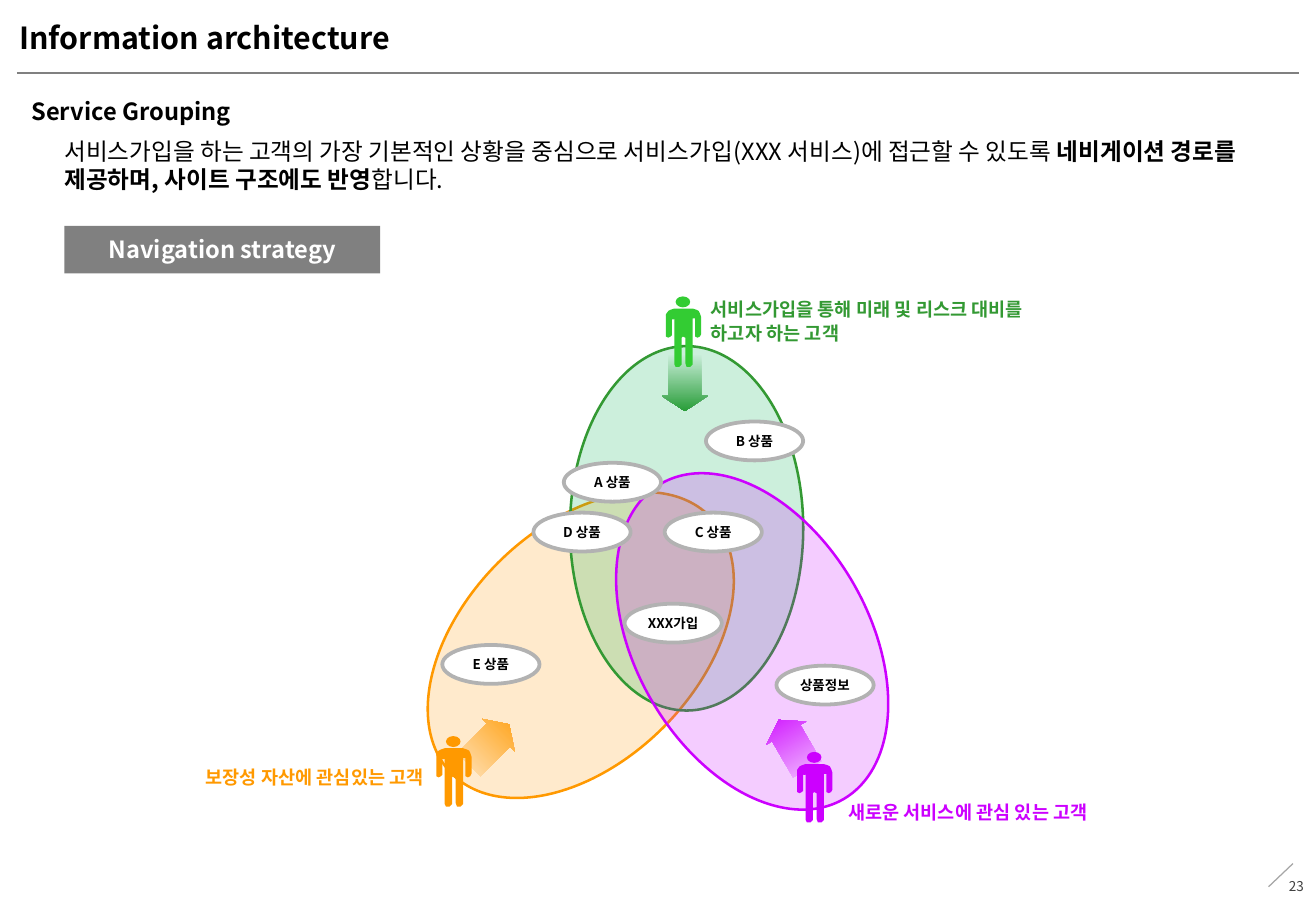
from lxml import etree
from pptx import Presentation
from pptx.dml.color import RGBColor
from pptx.enum import shapes as es, text as et
from pptx.oxml.ns import qn
from pptx.util import Inches, Pt

FONT = "Noto Sans CJK KR"
BLACK, WHITE = RGBColor(0, 0, 0), RGBColor(255, 255, 255)
GRAY, SILVER = RGBColor(0x80, 0x80, 0x80), RGBColor(0xB2, 0xB2, 0xB2)
PALE, DARK = RGBColor(0xA6, 0xA6, 0xA6), RGBColor(0x40, 0x40, 0x40)
GREEN, LIME = RGBColor(0x33, 0x99, 0x33), RGBColor(0x33, 0xCC, 0x33)
MINT = RGBColor(0, 0xB0, 0x50)
ORANGE, PURPLE = RGBColor(0xFF, 0x99, 0), RGBColor(0xCC, 0, 0xFF)
LEFT, MID, RIGHT = et.PP_ALIGN.LEFT, et.PP_ALIGN.CENTER, et.PP_ALIGN.RIGHT
OVAL = es.MSO_SHAPE.OVAL

TITLE = "Information architecture"
HEAD = "Service Grouping"
BADGE = "Navigation strategy"
PAGE = "23"
INTRO = [
    ("서비스가입을 하는 고객의 가장 기본적인 상황을 중심으로 "
     "서비스가입(XXX 서비스)에 접근할 수 있도록 ", False),
    ("네비게이션 경로를 제공하며, 사이트 구조에도 반영", True),
    ("합니다.", False),
]
RULES = [((0.14, 0.6), (10.69, 0.6), GRAY), ((10.64, 7.11), (10.44, 7.3), PALE)]
# left, top, turn, colour
ARROWS = [(5.4, 2.96, 90, GREEN), (6.29, 5.94, 240, PURPLE), (3.79, 5.94, 315, ORANGE)]
# left, top, turn, fill, line
ZONES = [(3.82, 3.81, 225, ORANGE, ORANGE), (4.69, 2.85, 0, MINT, GREEN),
         (5.23, 3.78, 150, PURPLE, PURPLE)]
# text, box, align, colour
LABELS = [
    ("보장성 자산에 관심있는 고객", (0.8, 6.24, 2.69, 0.3), RIGHT, ORANGE),
    ("새로운 서비스에 관심 있는 고객", (6.98, 6.53, 2.69, 0.3), LEFT, PURPLE),
    ("서비스가입을 통해 미래 및 리스크 대비를 하고자 하는 고객",
     (5.85, 2.39, 2.69, 0.51), LEFT, GREEN),
]
PEOPLE = [(5.48, 2.44, LIME), (3.59, 6.06, ORANGE), (6.56, 6.19, PURPLE)]
GOODS = [("E 상품", 3.64, 5.31), ("D 상품", 4.39, 4.22), ("A 상품", 4.64, 3.81),
         ("상품정보", 6.39, 5.48), ("XXX가입", 5.14, 4.97), ("B 상품", 5.81, 3.47),
         ("C 상품", 5.47, 4.22)]
# Torso, arms and legs, in hundredths of an inch
BODY = [(7, 0), (22, 0), (25, 1), (27, 2), (28, 4), (29, 7), (29, 21), (28, 23),
        (26, 24), (24, 23), (24, 8), (22, 8), (22, 46), (20, 48), (17, 48),
        (16, 45), (16, 24), (14, 23), (13, 24), (13, 46), (11, 48), (8, 48),
        (7, 46), (7, 8), (5, 8), (5, 22), (4, 23), (2, 24), (0, 23), (0, 8),
        (0, 5), (2, 2), (4, 1)]


def place(*box):
    return [Inches(n) for n in box]


def write(shape, runs, size=14, color=BLACK, bold=True, align=LEFT,
          pad=(0.1, 0.05, 0.1, 0.05), anchor=et.MSO_ANCHOR.TOP, wrap=True, pitch=1.18):
    """Fill a shape with one paragraph; runs is a string or (text, bold) pairs."""
    frame = shape.text_frame
    frame.word_wrap, frame.auto_size = wrap, et.MSO_AUTO_SIZE.NONE
    frame.vertical_anchor = anchor
    (frame.margin_left, frame.margin_top,
     frame.margin_right, frame.margin_bottom) = place(*pad)
    par = frame.paragraphs[0]
    par.alignment, par.line_spacing = align, Pt(round(size * pitch, 1))
    for words, heavy in [(runs, bold)] if isinstance(runs, str) else runs:
        run = par.add_run()
        run.text = words
        font = run.font
        font.size, font.bold, font.name = Pt(size), heavy, FONT
        font.color.rgb = color
        latin = run._r.rPr.find(qn("a:latin"))
        east = etree.SubElement(run._r.rPr, qn("a:ea"), typeface=FONT)
        latin.addnext(east)


def paint(shape, fill, line=None, width=1.5):
    shape.shadow.inherit = False
    shape.fill.solid()
    shape.fill.fore_color.rgb = fill
    if line is None:
        shape.line.fill.background()
    else:
        shape.line.color.rgb, shape.line.width = line, Pt(width)
    return shape


def person(left, top, color):
    parts = slide.shapes.add_group_shape().shapes
    paint(parts.add_shape(OVAL, *place(left + 0.08, top, 0.12, 0.09)), color)
    form = parts.build_freeform(*BODY[0], scale=Inches(0.01))
    form.add_line_segments(BODY[1:], close=True)
    paint(form.convert_to_shape(*place(left, top + 0.1)), color)
    paint(parts.add_shape(OVAL, *place(left, top + 0.12, 0.12, 0.07)), color)


deck = Presentation()
deck.slide_width, deck.slide_height = place(10.83, 7.5)
slide = deck.slides.add_slide(deck.slide_layouts[5])
draw = slide.shapes

for start, end, color in RULES:
    rule = draw.add_connector(es.MSO_CONNECTOR.STRAIGHT, *place(*start, *end))
    rule.line.color.rgb, rule.line.width = color, Pt(0.75)
    etree.SubElement(rule._element.spPr, qn("a:effectLst"))

title = draw.title
title.left, title.top, title.width, title.height = place(0.16, 0.1, 8.09, 0.42)
write(title, TITLE, size=18, pad=(0, 0.06, 0, 0.06))
write(draw.add_textbox(*place(0.16, 0.75, 10.54, 0.34)), HEAD)
write(draw.add_textbox(*place(0.53, 1.08, 9.76, 0.57)), INTRO, pad=(0, 0.05, 0.1, 0.05))
write(draw.add_textbox(*place(10.22, 7.1, 0.61, 0.4)), PAGE, size=8, color=DARK,
      bold=False, align=RIGHT, anchor=et.MSO_ANCHOR.MIDDLE)
badge = draw.add_shape(es.MSO_SHAPE.RECTANGLE, *place(0.53, 1.86, 2.6, 0.39))
write(paint(badge, GRAY), BADGE, color=WHITE, align=MID, anchor=et.MSO_ANCHOR.MIDDLE)

for left, top, turn, color in ARROWS:
    arrow = draw.add_shape(es.MSO_SHAPE.RIGHT_ARROW, *place(left, top, 0.47, 0.38))
    paint(arrow, color)
    arrow.rotation = turn
    arrow.adjustments[0], arrow.adjustments[1] = 0.705, 0.33
    arrow.fill.gradient()
    arrow.fill.gradient_angle = 0
    for stop, shade in zip(arrow.fill.gradient_stops, (WHITE, color)):
        stop.color.rgb = shade

for left, top, turn, fill, line in ZONES:
    zone = paint(draw.add_shape(OVAL, *place(left, top, 1.92, 3)), fill, line)
    zone.rotation = turn
    tint = zone._element.spPr.find(qn("a:solidFill")).find(qn("a:srgbClr"))
    etree.SubElement(tint, qn("a:alpha"), val="20000")

for words, box, align, color in LABELS:
    write(draw.add_textbox(*place(*box)), words, size=11, color=color, align=align,
          pad=(0, 0.05, 0, 0.05), pitch=1.29)

for left, top, color in PEOPLE:
    person(left, top, color)

for name, left, top in GOODS:
    item = paint(draw.add_shape(OVAL, *place(left, top, 0.8, 0.32)), WHITE, SILVER, 2.25)
    write(item, name, size=8, align=MID, pad=(0, 0, 0, 0),
          anchor=et.MSO_ANCHOR.MIDDLE, wrap=False)

deck.save("out.pptx")
